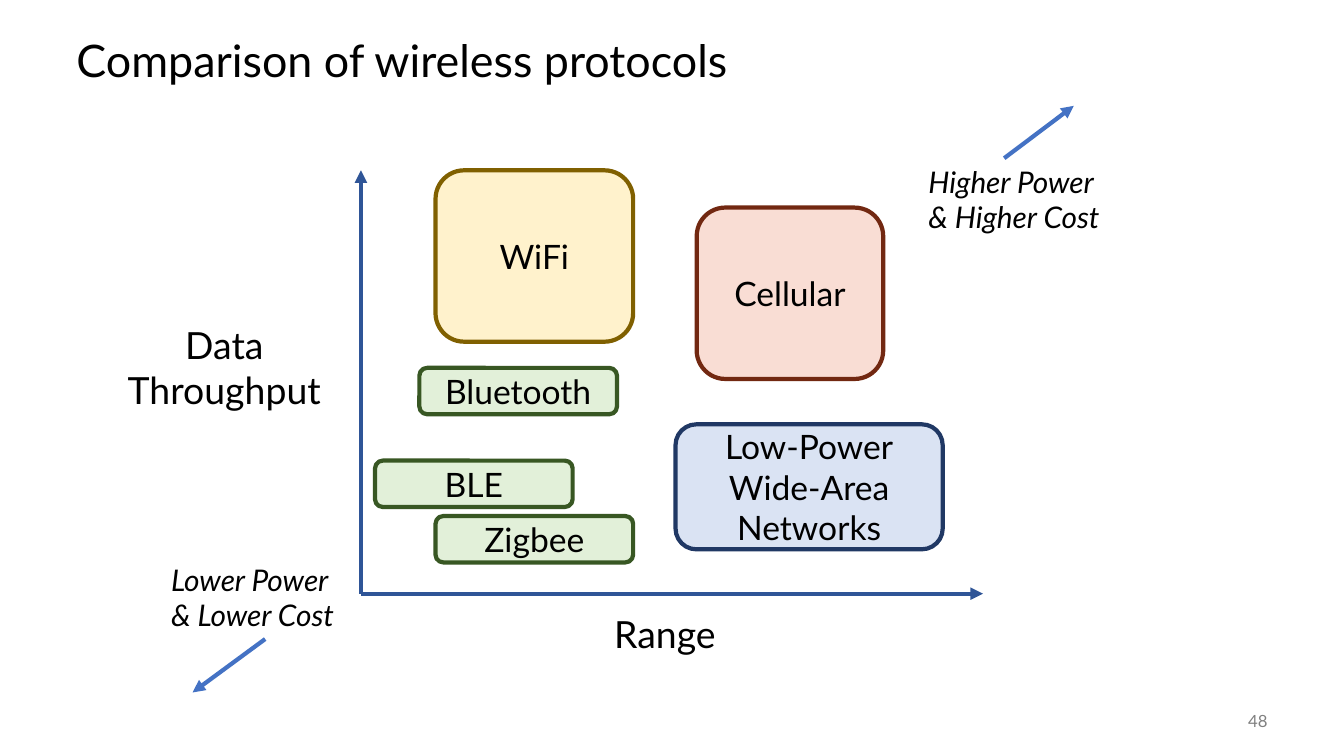
from pptx import Presentation
from pptx.dml.color import RGBColor
from pptx.enum import shapes, text
from pptx.oxml.ns import qn
from pptx.util import Inches, Pt
from lxml import etree


def rgb(color):
    return RGBColor.from_string(color)


class ProtocolSlide:
    font = "Lato"
    ink = "000000"
    weight = 3

    def __init__(self, prs):
        self.s = prs.slides.add_slide(prs.slide_layouts[6])

    def set_text(self, sp, words, size, align, anchor, color=ink, italic=False, spacing=None):
        tf = sp.text_frame
        tf.text = words
        tf.word_wrap = True
        tf.vertical_anchor = anchor
        for p in tf.paragraphs:
            p.alignment = align
            p.line_spacing = spacing
            for r in p.runs:
                r.font.name = self.font
                r.font.size = Pt(size)
                r.font.italic = italic
                r.font.color.rgb = rgb(color)

    def label(self, words, x, y, w, h, size, align=text.PP_ALIGN.LEFT,
              anchor=text.MSO_ANCHOR.TOP, **style):
        sp = self.s.shapes.add_textbox(Inches(x), Inches(y), Inches(w), Inches(h))
        self.set_text(sp, words, size, align, anchor, **style)

    def box(self, words, x, y, w, h, fill, line):
        sp = self.s.shapes.add_shape(shapes.MSO_SHAPE.ROUNDED_RECTANGLE,
                                     Inches(x), Inches(y), Inches(w), Inches(h))
        sp.shadow.inherit = False
        sp.fill.solid()
        sp.fill.fore_color.rgb = rgb(fill)
        sp.line.color.rgb = rgb(line)
        sp.line.width = Pt(self.weight)
        self.set_text(sp, words, 24, text.PP_ALIGN.CENTER, text.MSO_ANCHOR.MIDDLE)

    def arrow(self, x1, y1, x2, y2, color):
        sp = self.s.shapes.add_connector(shapes.MSO_CONNECTOR.STRAIGHT,
                                         Inches(x1), Inches(y1), Inches(x2), Inches(y2))
        sp.line.color.rgb = rgb(color)
        sp.line.width = Pt(self.weight)
        properties = sp.element.spPr
        etree.SubElement(properties.find(qn("a:ln")), qn("a:tailEnd"), type="triangle")
        etree.SubElement(properties, qn("a:effectLst"))


def main():
    prs = Presentation()
    prs.slide_width, prs.slide_height = Inches(13.33), Inches(7.5)
    slide = ProtocolSlide(prs)
    center, right = text.PP_ALIGN.CENTER, text.PP_ALIGN.RIGHT
    middle = text.MSO_ANCHOR.MIDDLE

    slide.label("Comparison of wireless protocols", 0.66, 0.25, 12, 0.75, 32,
                anchor=middle, spacing=0.9)
    slide.label("48", 11.67, 6.95, 1, 0.4, 12, right, middle, color="808080")

    slide.label("Data\nThroughput", 1.1, 3.15, 2.25, 1, 26.7, center)
    slide.label("Range", 5.59, 6.01, 2.01, 0.55, 26.7, center)
    origin_x, origin_y = 3.58, 5.89
    for end_x, end_y in [(origin_x, 1.69), (9.75, origin_y)]:
        slide.arrow(origin_x, origin_y, end_x, end_y, "2F5597")

    slide.label("Lower Power\n& Lower Cost", 1.6, 5.52, 2.03, 0.82, 21.3, italic=True)
    slide.arrow(2.63, 6.34, 1.91, 6.87, "4472C4")
    slide.label("Higher Power\n& Higher Cost", 9.11, 1.57, 2.16, 0.82, 21.3, italic=True)
    slide.arrow(9.96, 1.57, 10.65, 1.05, "4472C4")

    for name, x, y in [("Bluetooth", 4.16, 3.65), ("BLE", 3.72, 4.57), ("Zigbee", 4.32, 5.12)]:
        slide.box(name, x, y, 1.96, 0.46, "E2F0D9", "385723")
    slide.box("WiFi", 4.32, 1.69, 1.96, 1.7, "FFF2CC", "806000")
    slide.box("Cellular", 6.91, 2.06, 1.85, 1.7, "F9DDD4", "722811")
    slide.box("Low-Power\nWide-Area Networks", 6.7, 4.21, 2.65, 1.24, "DAE3F3", "203864")

    prs.save("out.pptx")


if __name__ == "__main__":
    main()
